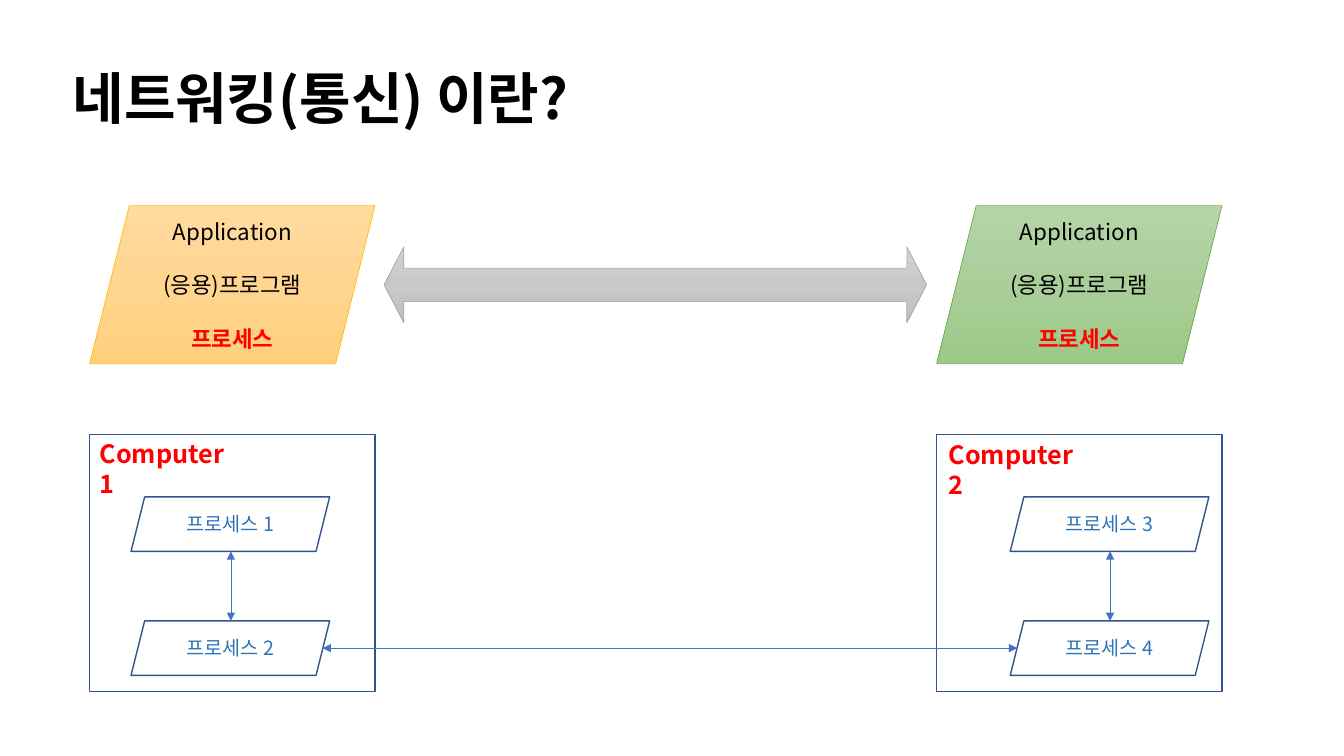
from copy import deepcopy
from dataclasses import dataclass

from lxml import etree
from pptx import Presentation
from pptx import util as u
from pptx.dml.color import RGBColor
from pptx.enum import shapes, text
from pptx.oxml.ns import qn


@dataclass(frozen=True)
class Theme:
    font: str = "Noto Sans CJK KR"
    ink: str = "000000"
    accent: str = "FF0000"
    label: str = "2E75B6"
    outline: str = "325491"
    link: str = "4472C4"
    # each gradient: top, middle and bottom colour, then the outline
    grey: tuple = ("D2D2D2", "C8C8C8", "C0C0C0", "A5A5A5")
    orange: tuple = ("FFDB9E", "FFD590", "FFD07C", "FFC000")
    green: tuple = ("B5D5A7", "AACE9A", "9CC987", "70AD47")
    title_size: int = 40
    computer_size: int = 18
    app_size: int = 16
    process_size: int = 14
    thin: float = 0.5
    medium: float = 1


PX = u.Inches(1) // 100
SHAPE = shapes.MSO_SHAPE
ALIGN = text.PP_ALIGN


def px(*lengths):
    return [n * PX for n in lengths]


class Deck:
    def __init__(self, theme):
        self.theme = theme
        self.prs = Presentation()
        self.prs.slide_width, self.prs.slide_height = px(1333, 750)
        self.slide = self.prs.slides.add_slide(self.prs.slide_layouts[5])

    def style(self, p, size, color, bold=False, align=ALIGN.CENTER):
        p.alignment = align
        for r in p.runs:
            r.font.size, r.font.bold = u.Pt(size), bold
            r.font.color.rgb = RGBColor.from_string(color)
            r.font.name = self.theme.font
            rPr = r.font._element
            etree.SubElement(rPr, qn("a:ea"), typeface=self.theme.font)

    def title(self, words, box):
        sp = self.slide.shapes.title
        sp.left, sp.top, sp.width, sp.height = px(*box)
        tf = sp.text_frame
        tf.text = words
        tf.auto_size = text.MSO_AUTO_SIZE.NONE
        tf.vertical_anchor = text.MSO_ANCHOR.MIDDLE
        p = tf.paragraphs[0]
        p.line_spacing = 0.9
        self.style(p, self.theme.title_size, self.theme.ink, True, ALIGN.LEFT)

    def shape(self, kind, box, line, width):
        sp = self.slide.shapes.add_shape(kind, *px(*box))
        sp.shadow.inherit = False
        sp.fill.background()
        sp.line.color.rgb = RGBColor.from_string(line)
        sp.line.width = u.Pt(width)
        sp.text_frame.vertical_anchor = text.MSO_ANCHOR.MIDDLE
        return sp

    def gradient_shape(self, kind, box, palette):
        *colors, line = palette
        sp = self.shape(kind, box, line, self.theme.thin)
        sp.fill.gradient()
        sp.fill.gradient_angle = 270
        # the default gradient has two stops; add a middle one
        stops = sp._element.spPr.find(".//" + qn("a:gsLst"))
        stops.insert(1, deepcopy(stops[0]))
        for i, (stop, color) in enumerate(zip(sp.fill.gradient_stops, colors)):
            stop.position = i / 2
            stop.color.rgb = RGBColor.from_string(color)
        return sp

    def application(self, box, palette):
        t = self.theme
        tf = self.gradient_shape(SHAPE.PARALLELOGRAM, box, palette).text_frame
        tf.text = "Application\n(응용)프로그램\n프로세스"
        for p in tf.paragraphs:
            self.style(p, t.app_size, t.ink)
        for p in tf.paragraphs[1:]:
            p.space_before = u.Pt(19)
        r = p.runs[0]
        r.font.bold = True
        r.font.color.rgb = RGBColor.from_string(t.accent)

    def process(self, number, box):
        t = self.theme
        sp = self.shape(SHAPE.PARALLELOGRAM, box, t.outline, t.medium)
        sp.text_frame.text = f"프로세스 {number}"
        self.style(sp.text_frame.paragraphs[0], t.process_size, t.label)

    def label(self, words, box):
        t = self.theme
        tf = self.slide.shapes.add_textbox(*px(*box)).text_frame
        tf.word_wrap = True
        tf.text = words
        self.style(tf.paragraphs[0], t.computer_size, t.accent, True, ALIGN.LEFT)

    def link(self, x1, y1, x2, y2):
        cx = self.slide.shapes.add_connector(
            shapes.MSO_CONNECTOR.STRAIGHT, *px(x1, y1, x2, y2))
        cx.line.color.rgb = RGBColor.from_string(self.theme.link)
        cx.line.width = u.Pt(self.theme.thin)
        ln = cx.line._get_or_add_ln()
        for end in ("a:headEnd", "a:tailEnd"):
            etree.SubElement(ln, qn(end), type="triangle")
        etree.SubElement(cx._element.spPr, qn("a:effectLst"))


def main():
    theme = Theme()
    deck = Deck(theme)
    deck.title("네트워킹(통신) 이란?", (62, 53, 1233, 95))

    # Applications talking to each other
    arrow = deck.gradient_shape(
        SHAPE.LEFT_RIGHT_ARROW, (381, 245, 538, 75), theme.grey)
    arrow.adjustments[0], arrow.adjustments[1] = 0.44, 0.26
    side_x, side_w = (89, 929), 283
    for x, palette in zip(side_x, (theme.orange, theme.green)):
        deck.application((x, 204, side_w, 157), palette)

    # Computers with two linked processes each
    proc_x, proc_y = (130, 1002), (493, 616)
    proc_w, proc_h = 197, 54
    for i, (x, left) in enumerate(zip(side_x, proc_x)):
        deck.shape(SHAPE.RECTANGLE, (x, 431, side_w, 255),
                   theme.outline, theme.medium)
        for j, top in enumerate(proc_y):
            deck.process(2 * i + j + 1, (left, top, proc_w, proc_h))
        middle = left + proc_w // 2 + 1
        deck.link(middle, proc_y[0] + proc_h, middle, proc_y[1])
        deck.label(f"Computer {i + 1}", (x + 2 * i, 430 + i, 155, 40))

    # Link between the computers, ending on the slanted sides
    slant = 7
    link_y = proc_y[1] + proc_h // 2
    deck.link(proc_x[0] + proc_w - slant, link_y, proc_x[1] + slant, link_y)

    deck.prs.save("out.pptx")


if __name__ == "__main__":
    main()
